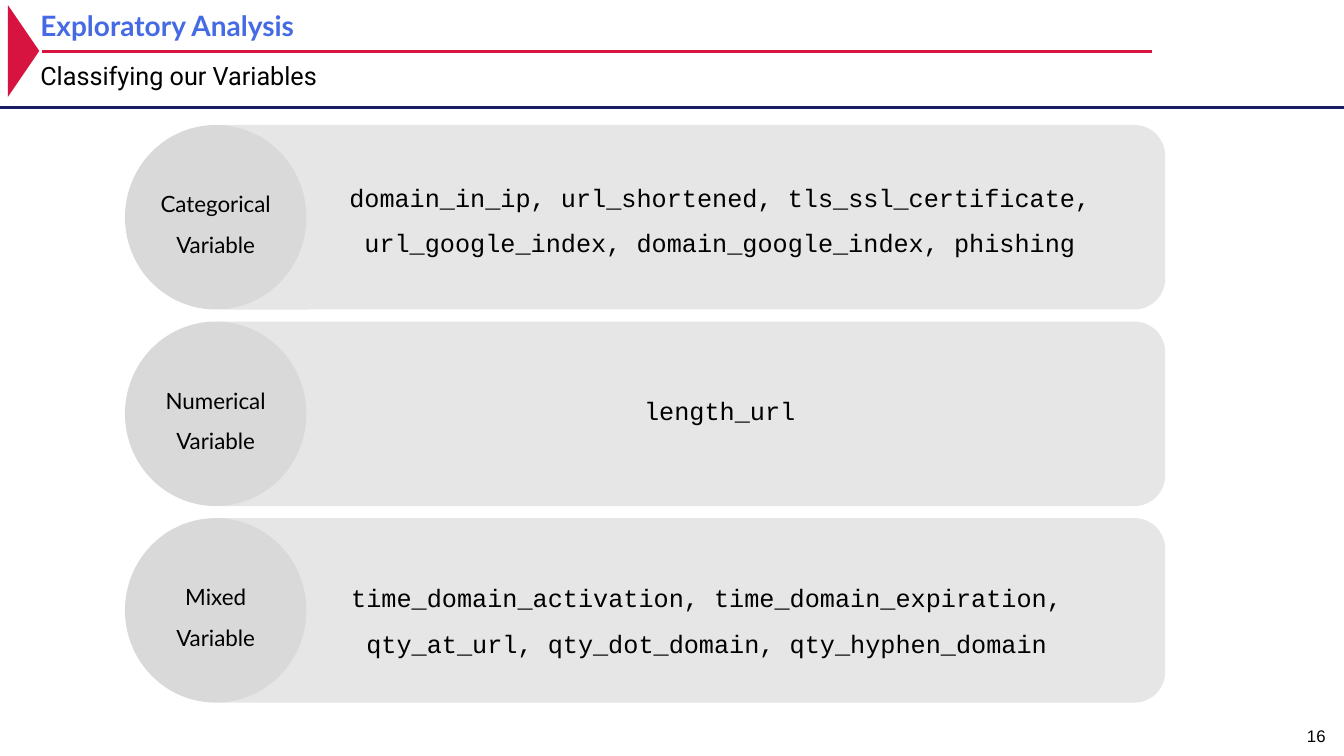
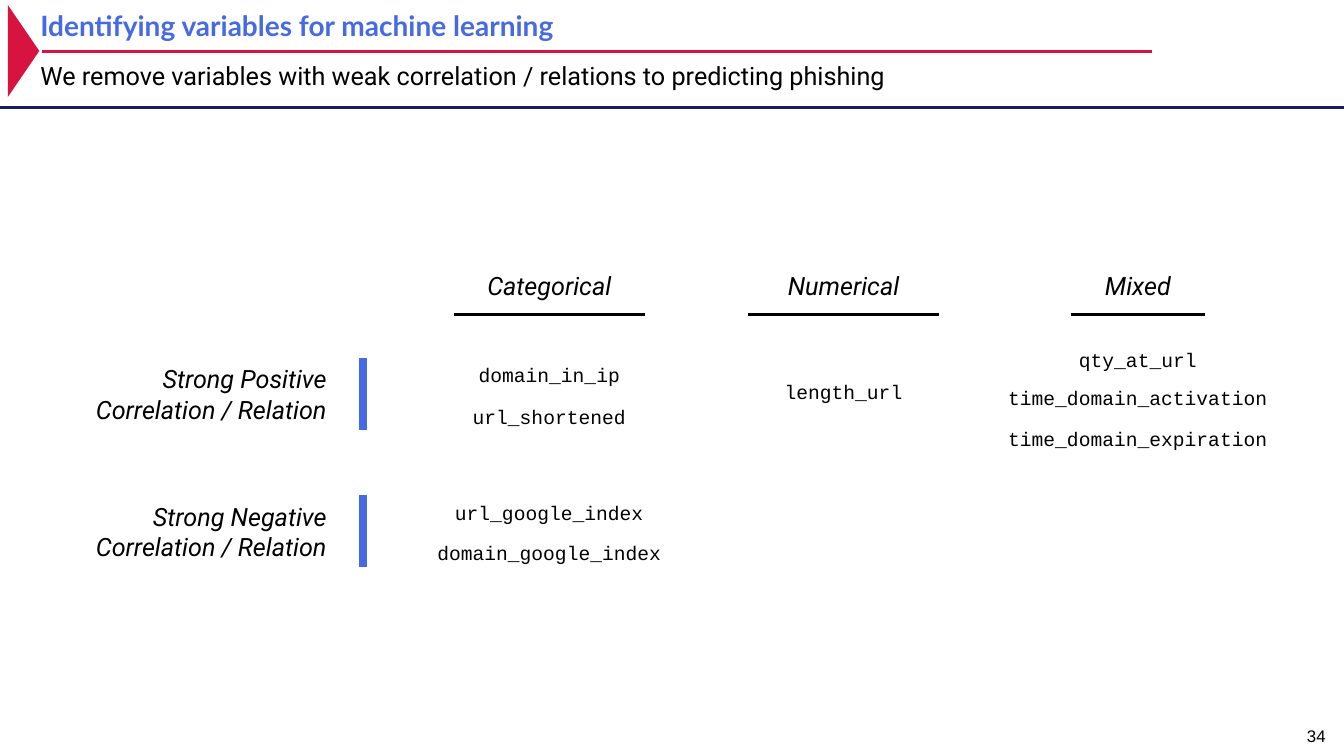
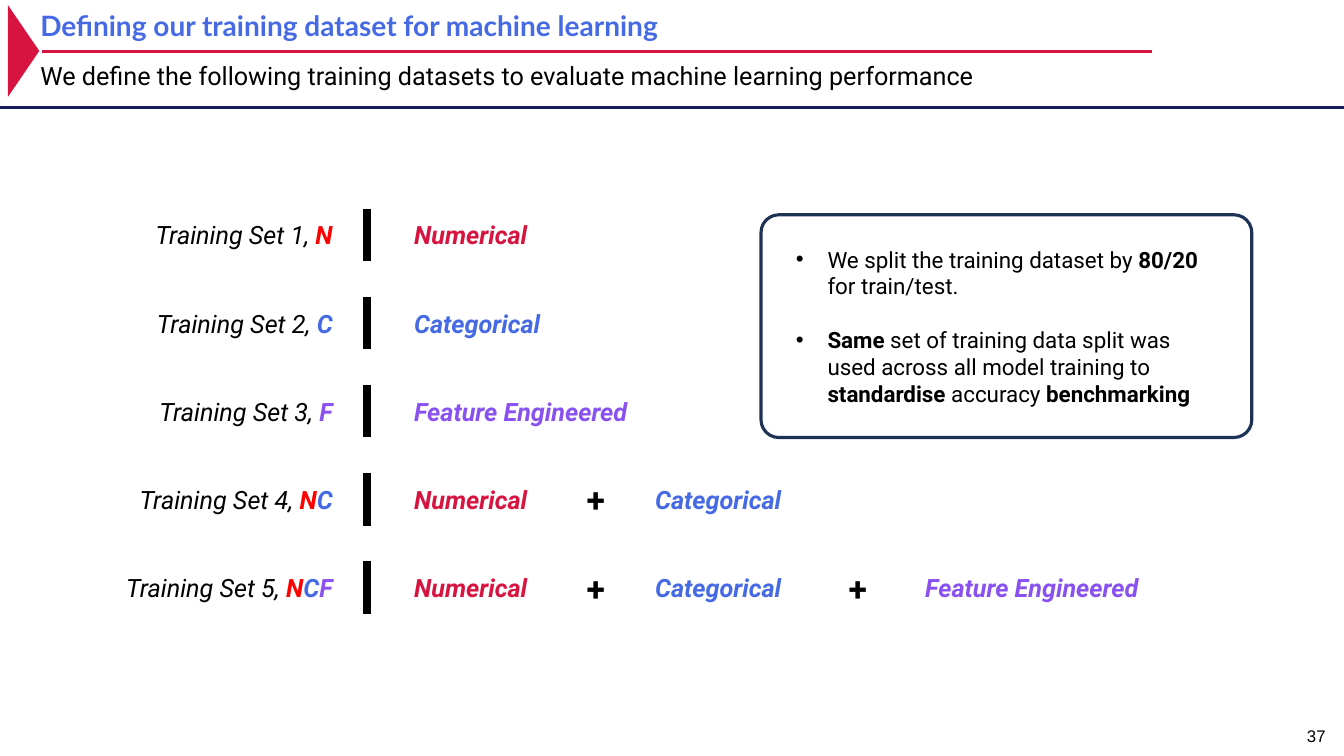
from lxml import etree
from pptx import Presentation
from pptx.dml.color import RGBColor
from pptx.enum.shapes import MSO_CONNECTOR, MSO_SHAPE
from pptx.enum.text import MSO_ANCHOR, MSO_AUTO_SIZE, PP_ALIGN
from pptx.oxml.ns import qn
from pptx.util import Pt

LEFT, CENTER, RIGHT = PP_ALIGN.LEFT, PP_ALIGN.CENTER, PP_ALIGN.RIGHT
TOP, MIDDLE = MSO_ANCHOR.TOP, MSO_ANCHOR.MIDDLE
STRAIGHT = MSO_CONNECTOR.STRAIGHT
NO_AUTOFIT = MSO_AUTO_SIZE.NONE
TRIANGLE, OVAL = MSO_SHAPE.ISOSCELES_TRIANGLE, MSO_SHAPE.OVAL
ROUNDED = MSO_SHAPE.ROUNDED_RECTANGLE

BLACK = RGBColor(0x00, 0x00, 0x00)
CRIMSON = RGBColor(0xD7, 0x14, 0x40)
RED = RGBColor(0xFF, 0x00, 0x00)
BLUE = RGBColor(0x45, 0x6A, 0xE4)
PURPLE = RGBColor(0x89, 0x51, 0xF0)
NAVY = RGBColor(0x18, 0x1C, 0x62)
FRAME_NAVY = RGBColor(0x1E, 0x32, 0x56)
PILL_GRAY = RGBColor(0xE7, 0xE6, 0xE6)
CIRCLE_GRAY = RGBColor(0xD9, 0xD9, 0xD9)

HEADING, BODY, CODE, NUMBER = "Lato", "Roboto", "Courier New", "Arial"
SLIDE_WIDTH, SLIDE_HEIGHT = 960, 540
INSET_X, INSET_Y = 7.2, 3.6

NUMERICAL = ("Numerical", CRIMSON)
CATEGORICAL = ("Categorical", BLUE)
ENGINEERED = ("Feature Engineered", PURPLE)
N, C, F = ("N", RED), ("C", BLUE), ("F", PURPLE)


def set_frame(frame, anchor=TOP, insets=(INSET_X, INSET_Y, INSET_X, INSET_Y)):
    frame.word_wrap = True
    frame.auto_size = NO_AUTOFIT
    frame.vertical_anchor = anchor
    frame.margin_left, frame.margin_top, frame.margin_right, frame.margin_bottom = map(Pt, insets)


def style(paragraph, font, size, color=BLACK, align=LEFT, spacing=None,
          bold=False, italic=False):
    paragraph.alignment = align
    if spacing:
        paragraph.line_spacing = spacing
    paragraph.font.name = font
    paragraph.font.size = Pt(size)
    paragraph.font.color.rgb = color
    paragraph.font.bold = bold
    paragraph.font.italic = italic


def set_bullet(paragraph, char=None, indent=0):
    properties = paragraph._p.get_or_add_pPr()
    properties.set("marL", str(Pt(indent)))
    properties.set("indent", str(-Pt(indent)))
    if char:
        etree.SubElement(properties, qn("a:buFont")).set("typeface", "Arial")
        etree.SubElement(properties, qn("a:buChar")).set("char", char)
    else:
        etree.SubElement(properties, qn("a:buNone"))


def add_text(slide, box, text, font, size, anchor=TOP, **look):
    textbox = slide.shapes.add_textbox(*map(Pt, box))
    set_frame(textbox.text_frame, anchor)
    paragraph = textbox.text_frame.paragraphs[0]
    style(paragraph, font, size, **look)
    paragraph.add_run().text = text
    return paragraph


def add_shape(slide, kind, box, fill=None, line=None, weight=1):
    shape = slide.shapes.add_shape(kind, *map(Pt, box))
    shape.shadow.inherit = False
    if fill is None:
        shape.fill.background()
    else:
        shape.fill.solid()
        shape.fill.fore_color.rgb = fill
    if line is None:
        shape.line.fill.background()
    else:
        shape.line.color.rgb = line
        shape.line.width = Pt(weight)
    return shape


def add_line(slide, start, end, color, weight):
    line = slide.shapes.add_connector(STRAIGHT, *map(Pt, start + end))
    line.line.color.rgb = color
    line.line.width = Pt(weight)
    etree.SubElement(line._element.spPr, qn("a:effectLst"))


def fill_placeholder(placeholder, box, text, font, size, **look):
    placeholder.left, placeholder.top, placeholder.width, placeholder.height = map(Pt, box)
    set_frame(placeholder.text_frame, MIDDLE)
    placeholder.text_frame.text = text
    paragraph = placeholder.text_frame.paragraphs[0]
    set_bullet(paragraph)
    paragraph.space_before = Pt(0)
    style(paragraph, font, size, spacing=0.9, **look)


def add_base_slide(presentation, heading, subheading, number):
    """Add a slide with the shared heading band and page number."""
    slide = presentation.slides.add_slide(presentation.slide_layouts[1])
    marker = add_shape(slide, TRIANGLE, (-15.9, 25.2, 65.5, 22.4), CRIMSON)
    marker.rotation = 90
    add_line(slide, (0, 76.8), (SLIDE_WIDTH, 76.8), NAVY, 2.5)
    add_line(slide, (30.2, 36.7), (823, 36.7), CRIMSON, 2)
    fill_placeholder(slide.placeholders[1], (21.6, 29.5, 841.7, 51.8),
                     subheading, BODY, 18)
    fill_placeholder(slide.shapes.title, (21.6, 0, 801.4, 38.9),
                     heading, HEADING, 20, color=BLUE, bold=True)
    add_text(slide, (923.8, 514.8, 30.2, 21.6), number, NUMBER, 12, align=RIGHT)
    return slide


def add_variable_pill(slide, box, label, names, names_offset):
    """Draw a pill with a labelled circle at its left end."""
    left, top, width, height = box
    circle_width = 129.6
    pill_left = left + 49
    add_shape(slide, ROUNDED, (pill_left, top, width - 49, height), PILL_GRAY)
    offset_x, offset_y = names_offset
    add_text(slide, (left + offset_x, top + offset_y, 548.6, 70), names,
             CODE, 18, align=CENTER, spacing=1.5)
    circle = add_shape(slide, OVAL, (left, top, circle_width, height), CIRCLE_GRAY)
    set_frame(circle.text_frame, MIDDLE, (0, 0, 0, 0))
    paragraph = circle.text_frame.paragraphs[0]
    style(paragraph, HEADING, 16, align=CENTER, spacing=1.5)
    paragraph.add_run().text = label


def build_variable_types(presentation):
    slide = add_base_slide(presentation, "Exploratory Analysis",
                           "Classifying our Variables", "16")
    pills = [
        ("Categorical Variable",
         "domain_in_ip, url_shortened, tls_ssl_certificate, "
         "url_google_index, domain_google_index, phishing", (150.5, 26.6)),
        ("Numerical Variable", "length_url", (150.5, 38.2)),
        ("Mixed Variable",
         "time_domain_activation, time_domain_expiration, "
         "qty_at_url, qty_dot_domain, qty_hyphen_domain", (141.1, 31.7)),
    ]
    for index, pill in enumerate(pills):
        add_variable_pill(slide, (89.3, 89.3 + 140.4 * index, 743, 131.8), *pill)


def add_row_label(slide, box, text, bar_gap, bar_color):
    """Add a right-aligned row label followed by a thick vertical bar."""
    left, top, width, height = box
    bar_x = left + width + bar_gap
    add_line(slide, (bar_x, top), (bar_x, top + height), bar_color, 6)
    return add_text(slide, box, text, BODY, 18, anchor=MIDDLE, align=RIGHT, italic=True)


def add_variable_column(slide, center, top, title, rule_width, entries):
    """Add an underlined title and code names at given distances below its top."""
    add_text(slide, (center - 68, top, 136, 28.8), title, BODY, 18,
             align=CENTER, italic=True)
    rule_y = top + 35.3
    add_line(slide, (center - rule_width / 2, rule_y),
             (center + rule_width / 2, rule_y), BLACK, 1.5)
    for offset, name in entries:
        add_text(slide, (center - 130, top + offset, 260, 24.5), name, CODE, 14, align=CENTER)


def build_variable_selection(presentation):
    slide = add_base_slide(
        presentation, "Identifying variables for machine learning",
        "We remove variables with weak correlation / relations to predicting phishing", "34")
    for index, sign in enumerate(("Positive", "Negative")):
        add_row_label(slide, (34.6, 255.6 + 98 * index, 205.9, 51.5),
                      f"Strong {sign} Correlation / Relation", 18.7, BLUE)
    columns = [
        ("Categorical", 136, [(66.2, "domain_in_ip"), (96.4, "url_shortened"),
                              (164.8, "url_google_index"), (193.6, "domain_google_index")]),
        ("Numerical", 136, [(78.4, "length_url")]),
        ("Mixed", 96, [(55.4, "qty_at_url"), (82.8, "time_domain_activation"),
                       (112.3, "time_domain_expiration")]),
    ]
    for index, column in enumerate(columns):
        add_variable_column(slide, 392.4 + 210.2 * index, 189.4, *column)


def add_colored_run(paragraph, text, bold, color=BLACK):
    run = paragraph.add_run()
    run.text = text
    run.font.bold = bold
    run.font.color.rgb = color


def add_training_row(slide, box, label, letters, terms):
    """Add a training set name, its bar and its terms joined by plus signs."""
    left, top, width, height = box
    paragraph = add_row_label(slide, (left, top, 205.9, height), label, 17.3, BLACK)
    for letter, color in letters:
        add_colored_run(paragraph, letter, True, color)
    term_offsets = (249.8, 421.9, 614.9)
    plus_offsets = (362.9, 550.1)
    for offset, (term, color) in zip(term_offsets, terms):
        add_text(slide, (left + offset, top, 198, height), term, BODY, 18,
                 anchor=MIDDLE, color=color, bold=True, italic=True)
    for offset in plus_offsets[:len(terms) - 1]:
        add_text(slide, (left + offset, top, 47.5, height), "+", BODY, 24,
                 anchor=MIDDLE, align=CENTER, bold=True)


def add_split_note(slide, box):
    note = add_shape(slide, ROUNDED, box, line=FRAME_NAVY, weight=2.25)
    note.adjustments[0] = 0.08
    frame = note.text_frame
    set_frame(frame, MIDDLE, (21.3, INSET_Y, 20.5, INSET_Y))
    items = [
        [("We split the training dataset by ", False), ("80/20", True),
         (" for train/test.", False)],
        [("Same", True), (" set of training data split was used across all model training to ",
                          False),
         ("standardise", True), (" accuracy ", False), ("benchmarking", True)],
    ]
    for index, item in enumerate(items):
        paragraph = frame.add_paragraph() if index else frame.paragraphs[0]
        set_bullet(paragraph, "•", 22.5)
        paragraph.space_before = Pt(19 if index else 0)
        style(paragraph, BODY, 16)
        for text, bold in item:
            add_colored_run(paragraph, text, bold)


def build_training_sets(presentation):
    slide = add_base_slide(
        presentation, "Defining our training dataset for machine learning",
        "We define the following training datasets to evaluate machine learning performance",
        "37")
    training_sets = [
        ([N], [NUMERICAL]),
        ([C], [CATEGORICAL]),
        ([F], [ENGINEERED]),
        ([N, C], [NUMERICAL, CATEGORICAL]),
        ([N, C, F], [NUMERICAL, CATEGORICAL, ENGINEERED]),
    ]
    for index, (letters, terms) in enumerate(training_sets):
        add_training_row(slide, (38.9, 149 + 63 * index, 813, 37.4),
                         f"Training Set {index + 1}, ", letters, terms)
    add_split_note(slide, (543.6, 153.4, 350.6, 159.1))


def main():
    presentation = Presentation()
    presentation.slide_width = Pt(SLIDE_WIDTH)
    presentation.slide_height = Pt(SLIDE_HEIGHT)
    build_variable_types(presentation)
    build_variable_selection(presentation)
    build_training_sets(presentation)
    presentation.save("out.pptx")


if __name__ == "__main__":
    main()
